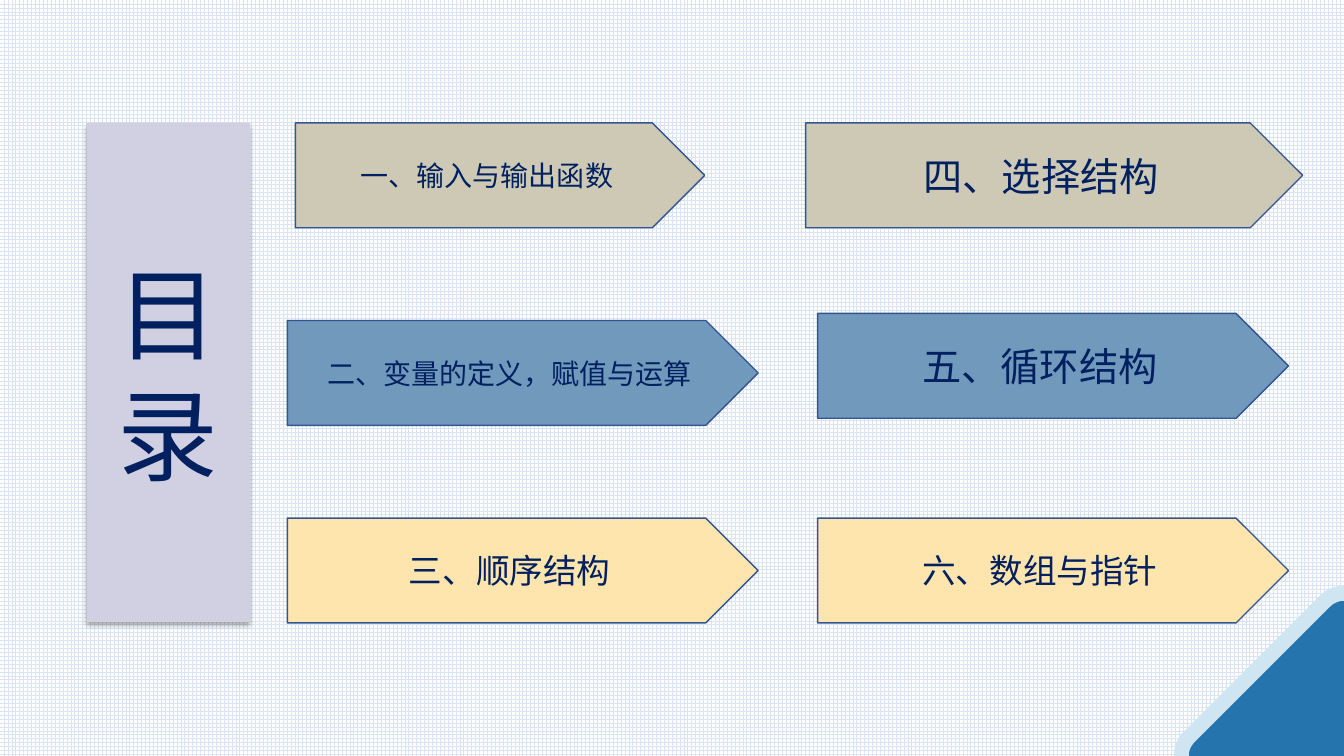
import lxml.etree
import pptx
import pptx.dml.color
import pptx.enum.dml
import pptx.enum.shapes
import pptx.enum.text
import pptx.oxml
import pptx.oxml.ns
import pptx.util

Inches = pptx.util.Inches
Pt = pptx.util.Pt
RGBColor = pptx.dml.color.RGBColor
SHAPES = pptx.enum.shapes.MSO_SHAPE

FONT = "Noto Sans CJK SC"
NAVY = RGBColor(0x00, 0x20, 0x60)
WHITE = RGBColor(0xFF, 0xFF, 0xFF)
GRID_BLUE = RGBColor(0xDA, 0xE3, 0xF3)
CORNER_BLUE = RGBColor(0x26, 0x74, 0xAE)
CORNER_EDGE = RGBColor(0xCF, 0xE5, 0xF2)
LILAC = RGBColor(0xD1, 0xD0, 0xE2)
OUTLINE = RGBColor(0x32, 0x54, 0x91)
SAND = RGBColor(0xCE, 0xC9, 0xB5)
STEEL = RGBColor(0x70, 0x99, 0xBC)
YELLOW = RGBColor(0xFE, 0xE5, 0xAE)


def add_shape(kind, left, top, width, height, fill, line, line_width):
    shape = slide.shapes.add_shape(
        kind, Inches(left), Inches(top), Inches(width), Inches(height))
    shape.shadow.inherit = False
    shape.fill.solid()
    shape.fill.fore_color.rgb = fill
    shape.line.color.rgb = line
    shape.line.width = Pt(line_width)
    return shape


def write_centred(shape, text, size):
    frame = shape.text_frame
    frame.word_wrap = True
    frame.auto_size = pptx.enum.text.MSO_AUTO_SIZE.NONE
    frame.vertical_anchor = pptx.enum.text.MSO_ANCHOR.MIDDLE
    para = frame.paragraphs[0]
    para.alignment = pptx.enum.text.PP_ALIGN.CENTER
    span = para.add_run()
    span.text = text
    span.font.size = Pt(size)
    span.font.color.rgb = NAVY
    span.font.name = FONT
    east_asian = lxml.etree.SubElement(
        span.font._element, pptx.oxml.ns.qn("a:ea"))
    east_asian.set("typeface", FONT)


deck = pptx.Presentation()
deck.slide_width = Inches(13.33)
deck.slide_height = Inches(7.5)
slide = deck.slides.add_slide(deck.slide_layouts.get_by_name("Title Only"))

background = slide.background.fill
background.patterned()
background.pattern = pptx.enum.dml.MSO_PATTERN.LARGE_GRID
background.fore_color.rgb = GRID_BLUE
background.back_color.rgb = WHITE

corner = add_shape(SHAPES.ROUNDED_RECTANGLE, 12.11, 6.28, 2.44, 2.44,
                   CORNER_BLUE, CORNER_EDGE, 10.75)
corner.adjustments[0] = 0.11
corner.rotation = 45

# Title placeholder as a rounded panel with a soft shadow below it
title = slide.shapes.title
title.left, title.top = Inches(0.86), Inches(1.22)
title.width, title.height = Inches(1.62), Inches(4.95)
namespace = pptx.oxml.ns.nsdecls("a")
properties = title._element.spPr
properties.append(pptx.oxml.parse_xml(
    f'<a:prstGeom {namespace} prst="roundRect"><a:avLst/></a:prstGeom>'))
title.fill.solid()
title.fill.fore_color.rgb = LILAC
title.line.fill.background()
properties.append(pptx.oxml.parse_xml(
    f'<a:effectLst {namespace}>'
    f'<a:outerShdw blurRad="{Pt(3.5)}" dist="{Pt(2.2)}" dir="5400000" '
    'algn="t" rotWithShape="0"><a:srgbClr val="000000">'
    '<a:alpha val="32000"/></a:srgbClr></a:outerShdw></a:effectLst>'))
write_centred(title, "目录", 72)

CHAPTER_HEIGHT = 1.04
chapters = [
    ("一、输入与输出函数", 20, 2.93, 1.22, 4.06, SAND),
    ("二、变量的定义，赋值与运算", 20, 2.85, 3.18, 4.67, STEEL),
    ("三、顺序结构", 24, 2.85, 5.14, 4.67, YELLOW),
    ("四、选择结构", 28, 7.99, 1.22, 4.93, SAND),
    ("五、循环结构", 28, 8.11, 3.11, 4.67, STEEL),
    ("六、数组与指针", 24, 8.11, 5.14, 4.67, YELLOW),
]
for name, size, left, top, width, fill in chapters:
    chapter = add_shape(SHAPES.PENTAGON, left, top, width, CHAPTER_HEIGHT,
                        fill, OUTLINE, 1)
    write_centred(chapter, name, size)

deck.save("out.pptx")
